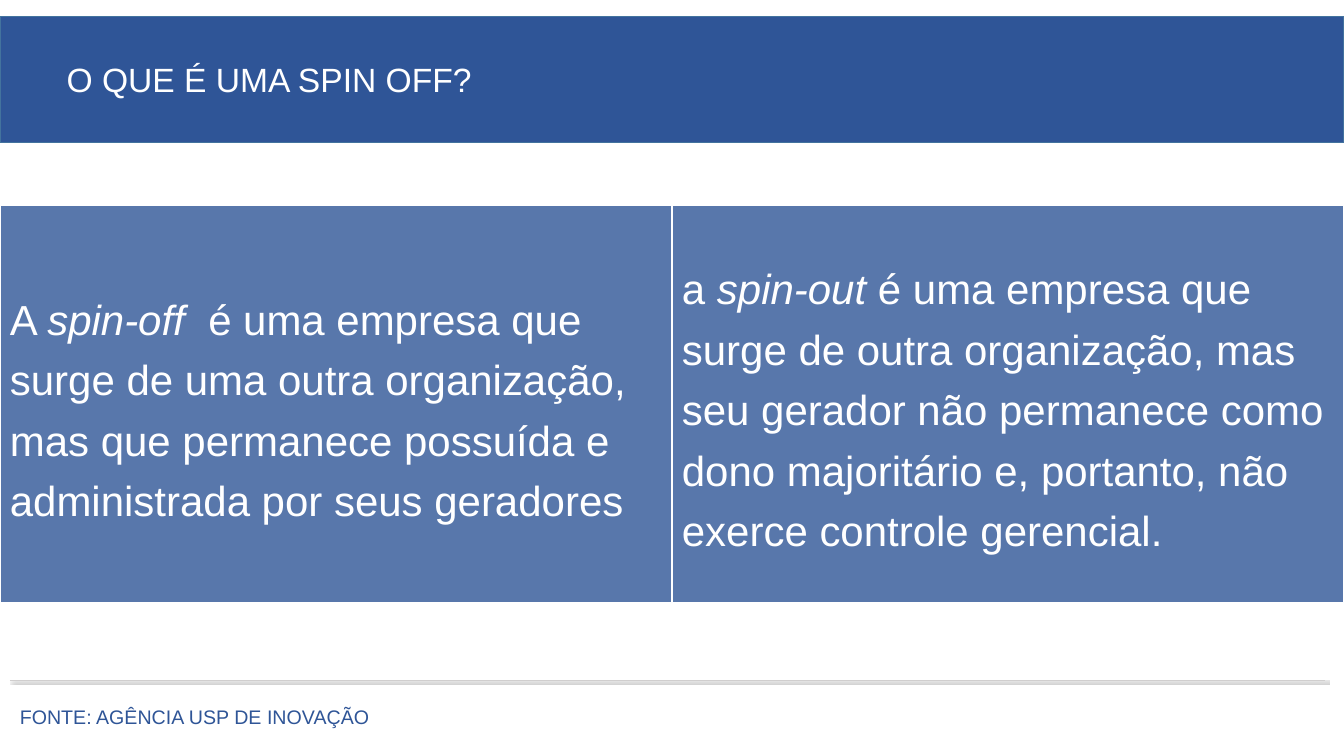
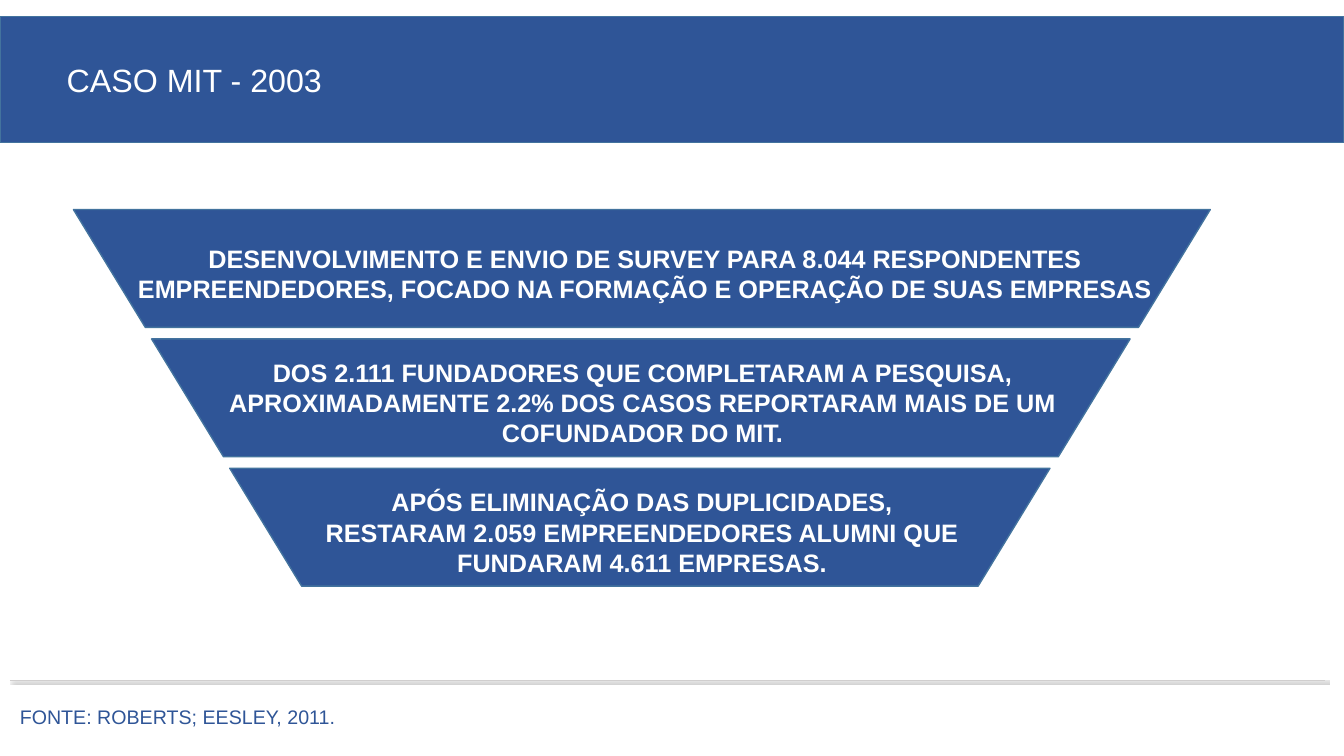
from lxml import etree
from pptx import Presentation
from pptx import util as u
from pptx.dml.color import RGBColor
from pptx.enum import shapes, text
from pptx.oxml import parse_xml
from pptx.oxml.ns import nsdecls, qn

Cm, Pt = u.Cm, u.Pt
WIDTH, HEIGHT = 33.87, 19.05
COLORS = {"blue": "2F5597", "edge": "43739E", "white": "FFFFFF", "rule": "D0CECE", "shadow": "595959"}


def rgb(name):
    return RGBColor.from_string(COLORS[name])


class Deck:
    def __init__(self):
        self.prs = Presentation()
        self.prs.slide_width, self.prs.slide_height = Cm(WIDTH), Cm(HEIGHT)
        self.s = None

    def add_slide(self, title, size, source):
        self.s = self.prs.slides.add_slide(self.prs.slide_layouts[5])
        self.title(title, size)
        self.rule()
        self.textbox(0.25, 17.63, 20, 0.86, [(source, False)], size=14, color="blue")

    def paint(self, sp, fill="blue", line="edge"):
        sp.fill.solid()
        sp.fill.fore_color.rgb = rgb(fill)
        sp.line.color.rgb = rgb(line)
        sp.line.width = Pt(1)

    def set_text(self, sp, runs, size, color="white", bold=False, align=text.PP_ALIGN.LEFT,
                 anchor=text.MSO_ANCHOR.MIDDLE, spacing=1.0):
        """Fill a shape with one paragraph of (text, italic) runs."""
        tf = sp.text_frame
        frame = {"word_wrap": True, "auto_size": text.MSO_AUTO_SIZE.NONE, "vertical_anchor": anchor}
        for name, value in frame.items():
            setattr(tf, name, value)
        p = tf.paragraphs[0]
        p.alignment, p.line_spacing = align, spacing
        for content, italic in runs:
            r = p.add_run()
            r.text = content
            font = {"name": "Arial", "size": Pt(size), "bold": bold, "italic": italic}
            for name, value in font.items():
                setattr(r.font, name, value)
            r.font.color.rgb = rgb(color)

    def title(self, content, size):
        sp = self.s.shapes.title
        box = {"left": 0, "top": 0.41, "width": WIDTH, "height": 3.18}
        for name, value in box.items():
            setattr(sp, name, Cm(value))
        self.paint(sp)
        self.set_text(sp, [(content, False)], size)
        sp.text_frame.margin_left = Cm(1.68)

    def rule(self):
        c = self.s.shapes.add_connector(shapes.MSO_CONNECTOR.STRAIGHT, Cm(0.25), Cm(17.15), Cm(33.4), Cm(17.15))
        c.line.color.rgb = rgb("rule")
        c.line.width = Pt(0.5)
        c._element.spPr.append(parse_xml(
            f'<a:effectLst {nsdecls("a")}><a:outerShdw blurRad="{Pt(1)}" dist="{Pt(2)}" dir="2700000" '
            f'algn="tl" rotWithShape="0"><a:srgbClr val="{COLORS["shadow"]}"><a:alpha val="40000"/>'
            '</a:srgbClr></a:outerShdw></a:effectLst>'))

    def shape(self, kind, x, y, w, h, line="edge"):
        sp = self.s.shapes.add_shape(kind, Cm(x), Cm(y), Cm(w), Cm(h))
        sp.shadow.inherit = False
        self.paint(sp, line=line)
        return sp

    def panel(self, x, y, w, h, runs):
        """Add a translucent rectangle with a definition."""
        sp = self.shape(shapes.MSO_SHAPE.RECTANGLE, x, y, w, h, line="white")
        clr = sp._element.spPr.find(qn("a:solidFill")).find(qn("a:srgbClr"))
        etree.SubElement(clr, qn("a:alpha"), val="80000")
        self.set_text(sp, runs, 30, spacing=1.2)

    def funnel_step(self, x, y, w, h):
        sp = self.shape(shapes.MSO_SHAPE.TRAPEZOID, x, y, w, h)
        sp.adjustments[0] = 0.61
        sp.rotation = 180

    def textbox(self, x, y, w, h, runs, **style):
        sp = self.s.shapes.add_textbox(Cm(x), Cm(y), Cm(w), Cm(h))
        self.set_text(sp, runs, **style)


def spin_off(deck):
    deck.add_slide("O QUE É UMA SPIN OFF?", 24, "FONTE: AGÊNCIA USP DE INOVAÇÃO")
    definitions = [
        [("A ", False), ("spin-off", True),
         ("  é uma empresa que surge de uma outra organização, mas que permanece possuída "
          "e administrada por seus geradores", False)],
        [("a ", False), ("spin-out ", True),
         ("é uma empresa que surge de outra organização, mas seu gerador não permanece como "
          "dono majoritário e, portanto, não exerce controle gerencial.", False)],
    ]
    for i, runs in enumerate(definitions):
        deck.panel(i * WIDTH / 2, 5.18, 16.92, 10, runs)


def mit_case(deck):
    deck.add_slide("CASO MIT - 2003", 23, "FONTE: ROBERTS; EESLEY, 2011.")
    height = 2.97
    steps = [  # text left, text width, text
        (3.2, 26.11, "DESENVOLVIMENTO E ENVIO DE SURVEY PARA 8.044 RESPONDENTES EMPREENDEDORES, "
                     "FOCADO NA FORMAÇÃO E OPERAÇÃO DE SUAS EMPRESAS"),
        (3.66, 25.07, "DOS 2.111 FUNDADORES QUE COMPLETARAM A PESQUISA, APROXIMADAMENTE 2.2% "
                      "DOS CASOS REPORTARAM MAIS DE UM COFUNDADOR DO MIT."),
        (7.85, 16.66, "APÓS ELIMINAÇÃO DAS DUPLICIDADES, RESTARAM 2.059 EMPREENDEDORES ALUMNI "
                      "QUE FUNDARAM 4.611 EMPRESAS."),
    ]
    for i, (x, w, content) in enumerate(steps):
        y = 5.28 + i * 3.26
        deck.funnel_step(1.85 + i * 1.97, y, 28.65 - i * 3.99, height)
        deck.textbox(x, y + 0.12, w, height, [(content, False)], size=18, bold=True,
                     align=text.PP_ALIGN.CENTER)


def main():
    deck = Deck()
    spin_off(deck)
    mit_case(deck)
    deck.prs.save("out.pptx")


if __name__ == "__main__":
    main()
